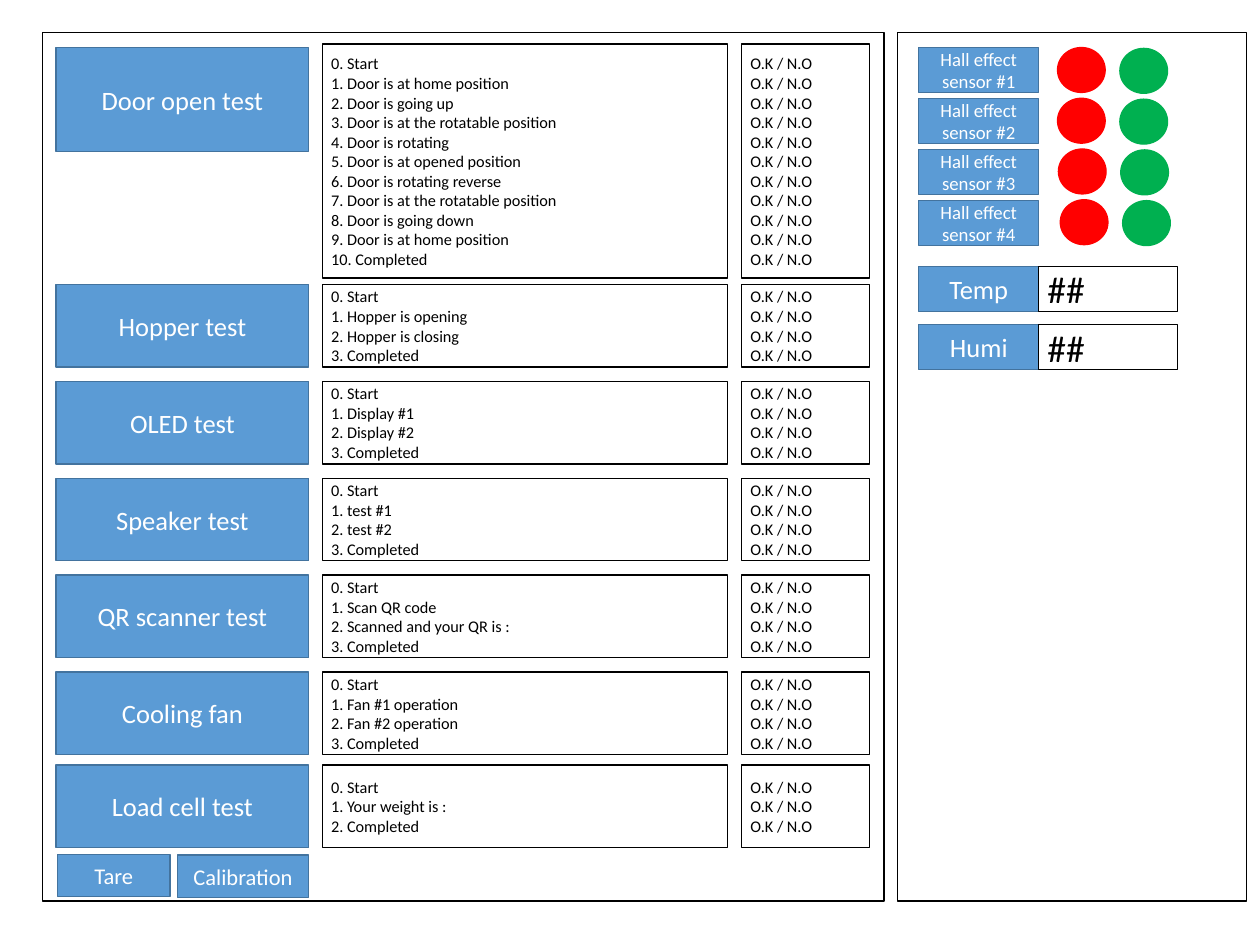
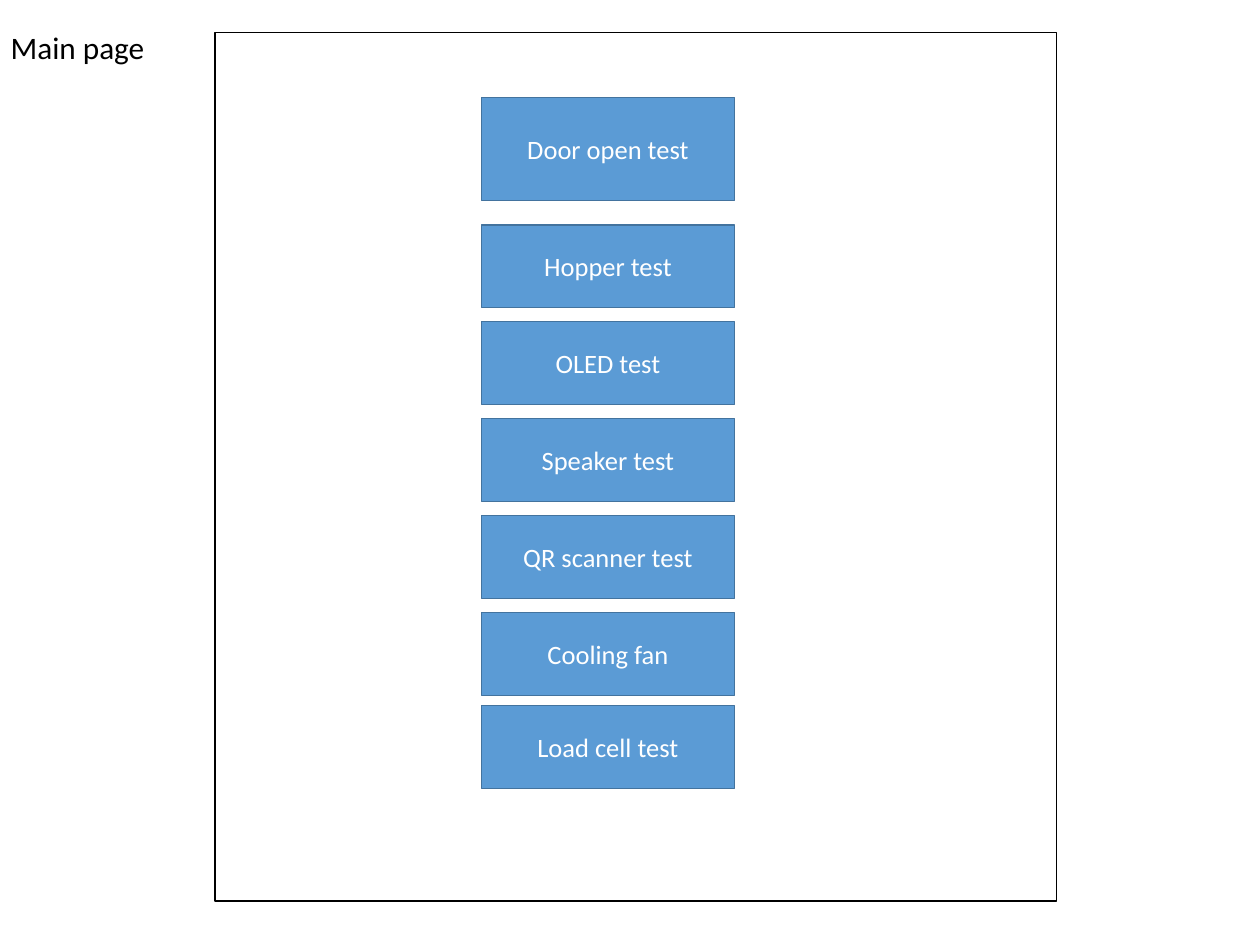
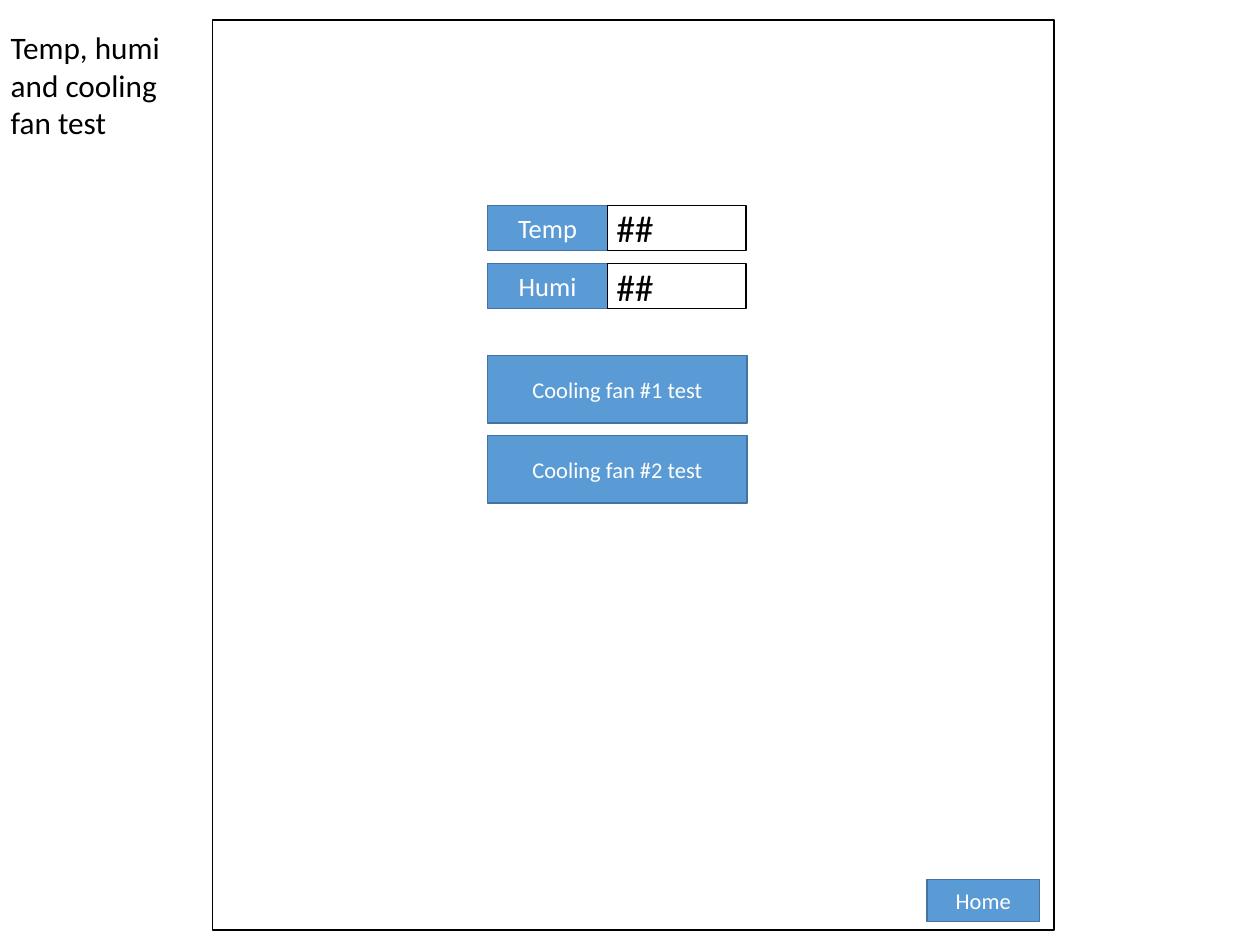
"""Build three screens of a hardware test panel: all tests, main page, climate page."""
from pptx import Presentation
from pptx.dml.color import RGBColor
from pptx.enum.shapes import MSO_SHAPE
from pptx.enum.text import MSO_ANCHOR, MSO_AUTO_SIZE, PP_ALIGN
from pptx.util import Pt

COLORS = {
    "button": "5B9BD5",
    "button_edge": "43739E",
    "button_text": "FFFFFF",
    "ink": "000000",
    "red": "FF0000",
    "green": "00B050",
}
FONT = "Calibri"
TEST_SIZE, ACTION_SIZE, STEP_SIZE, SENSOR_SIZE, VALUE_SIZE, CAPTION_SIZE = 21.2, 18, 13, 15, 30, 25

TESTS = {
    "Door open test": [
        "Start", "Door is at home position", "Door is going up",
        "Door is at the rotatable position", "Door is rotating",
        "Door is at opened position", "Door is rotating reverse",
        "Door is at the rotatable position", "Door is going down",
        "Door is at home position", "Completed",
    ],
    "Hopper test": ["Start", "Hopper is opening", "Hopper is closing", "Completed"],
    "OLED test": ["Start", "Display #1", "Display #2", "Completed"],
    "Speaker test": ["Start", "test #1", "test #2", "Completed"],
    "QR scanner test": ["Start", "Scan QR code", "Scanned and your QR is :", "Completed"],
    "Cooling fan": ["Start", "Fan #1 operation", "Fan #2 operation", "Completed"],
    "Load cell test": ["Start", "Your weight is :", "Completed"],
}
ROW_TOPS = [227.5 + 77.5 * row for row in range(5)] + [612]
ROW_HEIGHT, DOOR_HEIGHT, TEST_WIDTH = 66.2, 82.8, 202.3
FRAME_WIDTH, FRAME_HEIGHT = 673.2, 694.8


def write(shape, text, size, color, align):
    """Fill a shape with one paragraph per line of text."""
    shape.text_frame.text = text
    for paragraph in shape.text_frame.paragraphs:
        paragraph.alignment = align
        for run in paragraph.runs:
            run.font.name = FONT
            run.font.size = Pt(size)
            run.font.color.rgb = RGBColor.from_string(COLORS[color])


def draw(slide, left, top, width, height, text="", size=STEP_SIZE, fill=None, kind=MSO_SHAPE.RECTANGLE):
    """Draw a button, a lamp or, without a fill, an outlined field."""
    shape = slide.shapes.add_shape(kind, Pt(left), Pt(top), Pt(width), Pt(height))
    shape.shadow.inherit = False
    shape.line.width = Pt(1)
    edge = "ink"
    if fill:
        shape.fill.solid()
        shape.fill.fore_color.rgb = RGBColor.from_string(COLORS[fill])
        edge = "button_edge" if fill == "button" else fill
    else:
        shape.fill.background()
    shape.line.color.rgb = RGBColor.from_string(COLORS[edge])
    if text:
        shape.text_frame.word_wrap = True
        shape.text_frame.vertical_anchor = MSO_ANCHOR.MIDDLE
        write(shape, text, size, "button_text" if fill else "ink",
              PP_ALIGN.CENTER if fill else PP_ALIGN.LEFT)


deck = Presentation()
deck.slide_width, deck.slide_height = Pt(1008), Pt(756)
overview, main_page, climate_page = [deck.slides.add_slide(deck.slide_layouts[6]) for _ in range(3)]

draw(overview, 34, 26, FRAME_WIDTH, FRAME_HEIGHT)
draw(overview, 718, 26, 279.4, FRAME_HEIGHT)
draw(main_page, 172, 26, FRAME_WIDTH, FRAME_HEIGHT)
draw(climate_page, 170, 16, FRAME_WIDTH, 728)

for row, (test, steps) in enumerate(TESTS.items()):
    if row == 0:
        button_top, main_top, button_height = 38.2, 77.8, DOOR_HEIGHT
        steps_top, steps_height = 35.3, 187.2
    else:
        button_top = steps_top = ROW_TOPS[row - 1]
        main_top = button_top - 47.5
        button_height = steps_height = ROW_HEIGHT
    numbered = "\n".join(f"{number}. {step}" for number, step in enumerate(steps))
    verdicts = "\n".join(["O.K / N.O"] * len(steps))
    draw(overview, 44.8, button_top, TEST_WIDTH, button_height, test, TEST_SIZE, "button")
    draw(overview, 257.8, steps_top, 324, steps_height, numbered)
    draw(overview, 593.2, steps_top, 102.2, steps_height, verdicts)
    draw(main_page, 385.2, main_top, TEST_WIDTH, button_height, test, TEST_SIZE, "button")

draw(overview, 46, 683.4, 90, 33.8, "Tare", ACTION_SIZE, "button")
draw(overview, 141.8, 684, 105.2, 33.8, "Calibration", ACTION_SIZE, "button")

for sensor, lamp_left in enumerate([846, 846, 846.7, 848.2]):
    lamp_top = 38 + 40.6 * sensor
    draw(overview, 735.1, 38.2 + 40.8 * sensor, 95.8, 36,
         f"Hall effect sensor #{sensor + 1}", SENSOR_SIZE, "button")
    draw(overview, lamp_left, lamp_top, 38.2, 36, fill="red", kind=MSO_SHAPE.OVAL)
    draw(overview, lamp_left + 49.9, lamp_top + 0.7, 38.2, 36, fill="green", kind=MSO_SHAPE.OVAL)

for slide, left, first_top in [(overview, 735.1, 213.1), (climate_page, 390.2, 164.2)]:
    for row, reading in enumerate(["Temp", "Humi"]):
        top = first_top + 46.8 * row
        draw(slide, left, top, 95.8, 36, reading, TEST_SIZE, "button")
        draw(slide, left + 95.8, top, 110.9, 36, "##", VALUE_SIZE)

for fan in range(2):
    draw(climate_page, 390.2, 284.4 + 64.1 * fan, 207.4, 54,
         f"Cooling fan #{fan + 1} test", ACTION_SIZE, "button")
draw(climate_page, 741.6, 703.4, 90, 33.8, "Home", ACTION_SIZE, "button")

for slide, title, width, height in [
    (main_page, "Main page", 122.4, 37.4),
    (climate_page, "Temp, humi\nand cooling\nfan test", 135.4, 97.9),
]:
    caption = slide.shapes.add_textbox(Pt(1.5), Pt(19.4), Pt(width), Pt(height))
    caption.text_frame.word_wrap = False
    caption.text_frame.auto_size = MSO_AUTO_SIZE.SHAPE_TO_FIT_TEXT
    write(caption, title, CAPTION_SIZE, "ink", PP_ALIGN.LEFT)

deck.save("out.pptx")
